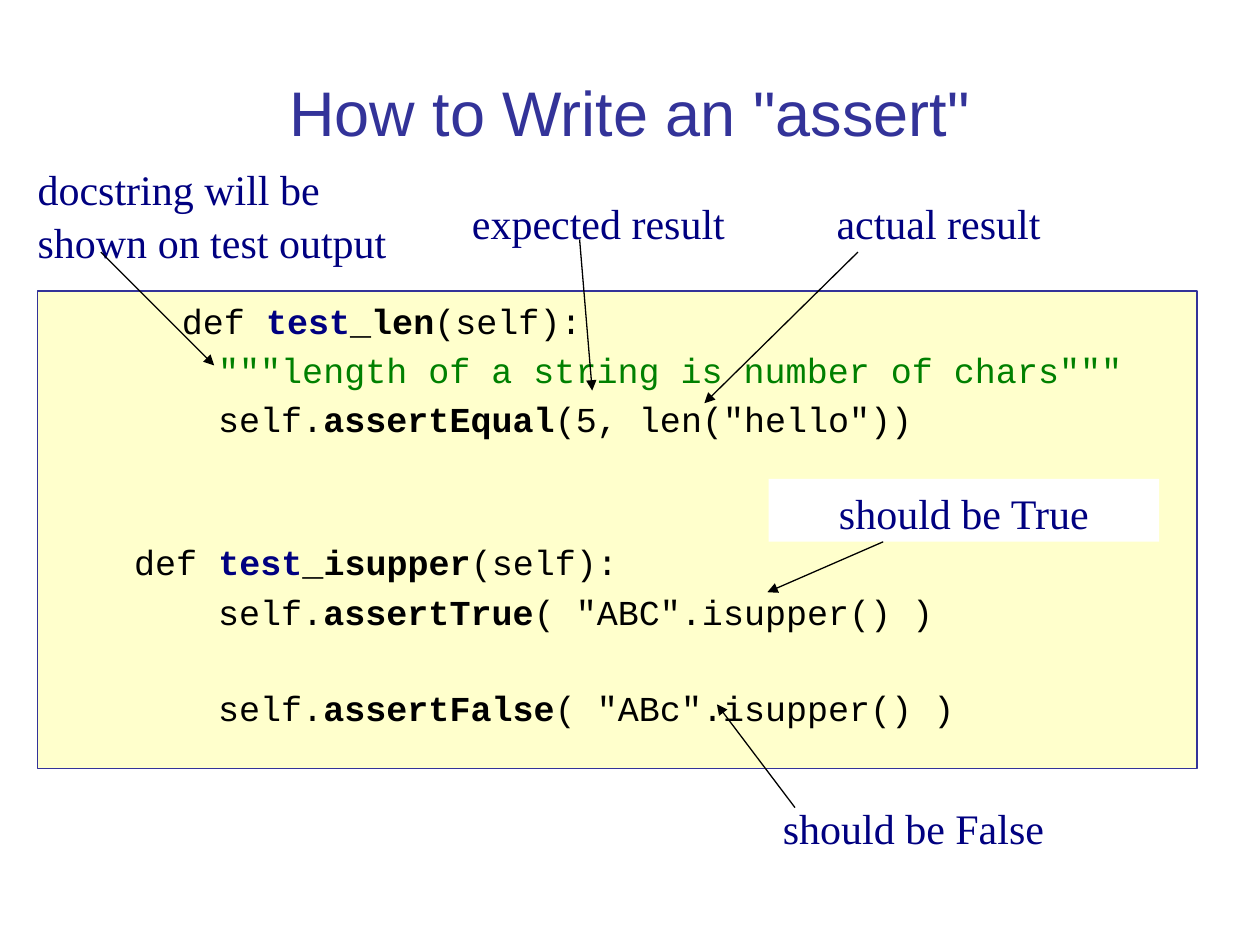
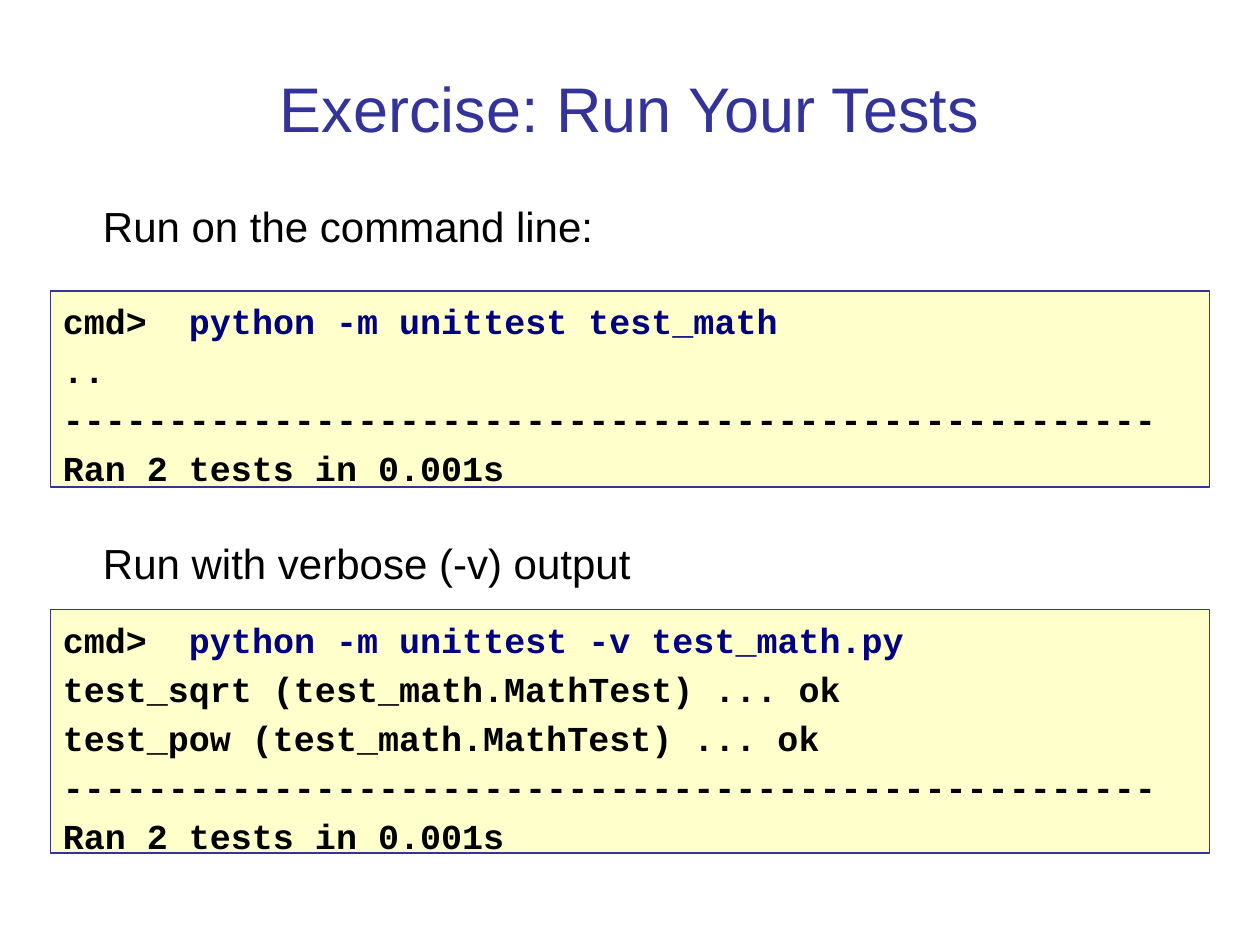
from lxml.etree import SubElement
from pptx import Presentation
from pptx.dml.color import RGBColor
from pptx.enum.shapes import MSO_CONNECTOR as CONN, MSO_SHAPE as SHAPE
from pptx.enum.text import MSO_ANCHOR as ANCHOR, PP_ALIGN as ALIGN
from pptx.oxml.ns import qn
from pptx.util import Pt

INDIGO, NAVY, GREEN, BLACK = "333399", "000080", "008000", "000000"
CREAM, WHITE = "FFFFCC", "FFFFFF"
SANS, SERIF, MONO = "Arial", "Times New Roman", "Courier New"
CODE_PITCH, CODE_GAP = 26.9, 2.9
INDENT = 48
LINE_SPACING = 1.05


def rgb(value):
    """Turn a hex string into a colour."""
    return RGBColor.from_string(value)


class Deck:
    """Holds the shared style and the current slide."""

    def __init__(self):
        """Open an empty 10 by 7.5 inch presentation."""
        self.prs = Presentation()
        self.prs.slide_width, self.prs.slide_height = Pt(720), Pt(540)

    def slide(self, title, height):
        """Start a slide with its centred title."""
        self.s = self.prs.slides.add_slide(self.prs.slide_layouts[6])
        tf = self.text_box(48.25, 20.25, 623, height)
        tf.vertical_anchor = ANCHOR.BOTTOM
        self.label(tf, title, SANS, 36, INDIGO, ALIGN.CENTER, 1)

    def text_box(self, x, y, w, h):
        """Add a wrapping text box and return its text frame."""
        tf = self.s.shapes.add_textbox(Pt(x), Pt(y), Pt(w), Pt(h)).text_frame
        tf.word_wrap = True
        return tf

    def style(self, r, font, size, color, bold=False):
        """Format one run."""
        r.font.name, r.font.size, r.font.bold = font, Pt(size), bold
        r.font.color.rgb = rgb(color)

    def label(self, tf, text, font, size, color, align, spacing=LINE_SPACING):
        """Fill a text frame with one plain paragraph."""
        tf.text = text
        p = tf.paragraphs[0]
        p.alignment, p.line_spacing = align, spacing
        self.style(p.runs[0], font, size, color)

    def panel(self, x, y, w, h, fill, line=None):
        """Add a filled rectangle and return its text frame."""
        sp = self.s.shapes.add_shape(SHAPE.RECTANGLE, Pt(x), Pt(y), Pt(w), Pt(h))
        sp.shadow.inherit = False
        sp.fill.solid()
        sp.fill.fore_color.rgb = rgb(fill)
        if line:
            sp.line.color.rgb, sp.line.width = rgb(line), Pt(0.75)
        else:
            sp.line.fill.background()
        tf = sp.text_frame
        tf.word_wrap, tf.vertical_anchor = True, ANCHOR.TOP
        return tf

    def body(self, y, text):
        """Add a line of body text."""
        tf = self.text_box(51.75, y, 620, 49)
        self.label(tf, text, SANS, 24, BLACK, ALIGN.LEFT)

    def code(self, x, y, h, lines):
        """Add a code panel from (indent, skipped lines, runs) entries."""
        tf = self.panel(x, y, 662.4, h, CREAM, INDIGO)
        for i, (indent, skipped, runs) in enumerate(lines):
            p = tf.add_paragraph() if i else tf.paragraphs[0]
            p.alignment, p.line_spacing = ALIGN.LEFT, LINE_SPACING
            p.space_before = Pt(CODE_GAP + skipped * CODE_PITCH)
            pPr = p._p.get_or_add_pPr()
            pPr.set("marL", str(Pt(indent)))
            pPr.set("indent", "0")
            for text, color, bold in runs:
                r = p.add_run()
                r.text = text
                self.style(r, MONO, 20, color, bold)

    def callout(self, box, text, start, end, align=ALIGN.CENTER):
        """Add a white label and the arrow that leaves it."""
        self.label(self.panel(*box, WHITE), text, SERIF, 24, NAVY, align)
        c = self.s.shapes.add_connector(CONN.STRAIGHT, *map(Pt, start + end))
        c.line.color.rgb, c.line.width = rgb(BLACK), Pt(0.75)
        SubElement(c.line._get_or_add_ln(), qn("a:tailEnd"), type="triangle")
        SubElement(c._element.spPr, qn("a:effectLst"))


def definition(name):
    """Return the runs of a test method's first line."""
    return [("def ", BLACK, False), ("test", NAVY, True),
            (name, BLACK, True), ("(self):", BLACK, False)]


def assertion(name, arguments):
    """Return the runs of a call to an assert method."""
    return [("self.", BLACK, False), (name, BLACK, True), (arguments, BLACK, False)]


def session(command, *output):
    """Return the code lines of a command and its output."""
    first = [("cmd>", BLACK, True), ("  " + command, NAVY, True)]
    return [(0, 0, first)] + [(0, 0, [(text, BLACK, True)]) for text in output]


def assert_slide(deck):
    """Build the slide that explains assert methods."""
    deck.slide('How to Write an "assert"', 68.4)
    docstring = '"""length of a string is number of chars"""'
    deck.code(21.6, 166.3, 272.9, [
        (75.25, 0, definition("_len")),
        (2 * INDENT, 0, [(docstring, GREEN, False)]),
        (2 * INDENT, 0, assertion("assertEqual", '(5, len("hello"))')),
        (INDENT, 2, definition("_isupper")),
        (2 * INDENT, 0, assertion("assertTrue", '( "ABC".isupper() )')),
        (2 * INDENT, 1, assertion("assertFalse", '( "ABc".isupper() )')),
    ])
    deck.callout((252, 108, 180, 36), "expected result", (331.2, 136.8), (338.4, 223.2))
    deck.callout((446.4, 108, 180, 36), "actual result", (490.3, 144), (402.5, 230.4))
    deck.callout((439.2, 273.6, 223.2, 36), "should be True", (504.7, 309.6), (438.5, 338.4))
    deck.callout((410.4, 453.6, 223.2, 36), "should be False", (454.3, 461.5), (409.7, 402.5))
    deck.callout((14.4, 88.6, 223.2, 64.8), "docstring will be shown on test output",
                 (57.6, 144), (122.4, 208.8), ALIGN.LEFT)


def exercise_slide(deck):
    """Build the slide that runs the tests."""
    summary = ("-" * 52, "Ran 2 tests in 0.001s")
    deck.slide("Exercise: Run Your Tests", 66.25)
    deck.body(109.5, "Run on the command line:")
    deck.code(28.8, 166.3, 112, session("python -m unittest test_math", "..", *summary))
    deck.body(302.4, "Run with verbose (-v) output")
    deck.code(28.8, 348.5, 139, session(
        "python -m unittest -v test_math.py",
        "test_sqrt (test_math.MathTest) ... ok",
        "test_pow (test_math.MathTest) ... ok", *summary))


def main():
    """Build both slides and save them."""
    deck = Deck()
    assert_slide(deck)
    exercise_slide(deck)
    deck.prs.save("out.pptx")


if __name__ == "__main__":
    main()
